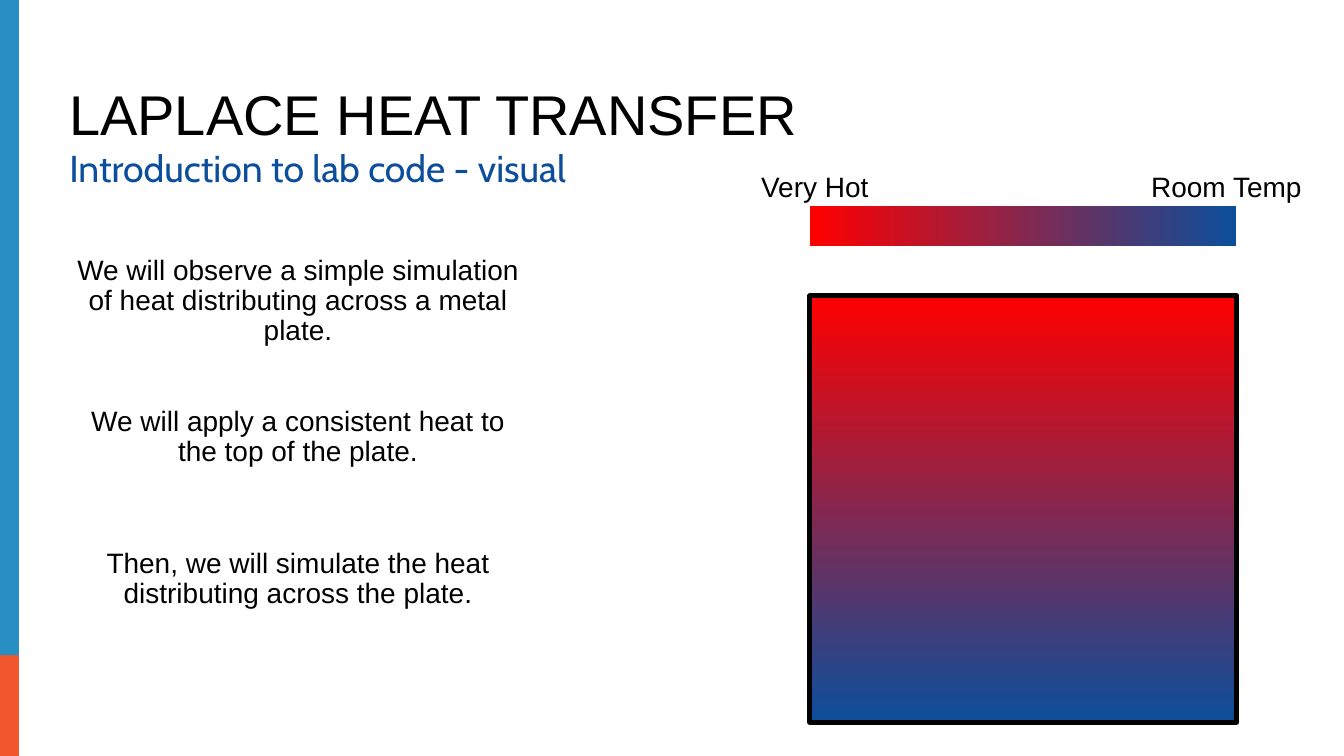
"""Build the Laplace heat transfer introduction slide."""
from dataclasses import dataclass

from pptx import Presentation
from pptx.dml.color import RGBColor
from pptx.enum.shapes import MSO_SHAPE
from pptx.enum.text import MSO_ANCHOR, MSO_AUTO_SIZE, PP_ALIGN
from pptx.util import Inches, Pt

RECT = MSO_SHAPE.RECTANGLE
TOP, MIDDLE, BOTTOM = MSO_ANCHOR.TOP, MSO_ANCHOR.MIDDLE, MSO_ANCHOR.BOTTOM
LEFT, CENTER = PP_ALIGN.LEFT, PP_ALIGN.CENTER
GROW, FIXED = MSO_AUTO_SIZE.SHAPE_TO_FIT_TEXT, MSO_AUTO_SIZE.NONE


@dataclass(frozen=True)
class Theme:
    """Colours, fonts and type sizes."""
    black: str = "000000"
    orange: str = "F1562D"
    sky: str = "298EC2"
    hot: str = "FF0000"
    cool: str = "0C4E9B"
    font: str = "Arial"
    accent_font: str = "Cabin"
    title: int = 36
    subtitle: int = 24
    body: int = 18


THEME = Theme()
PLATE_X, PLATE_Y, PLATE_SIDE = 7.23, 2.64, 3.81
STEPS = (
    (2.23, 0.92, "We will observe a simple simulation of heat distributing across a metal plate."),
    (3.58, 0.65, "We will apply a consistent heat to the top of the plate."),
    (4.85, 0.65, "Then, we will simulate the heat distributing across the plate."),
)


def rgb(color):
    """Turn a hex string into a colour."""
    return RGBColor.from_string(color)


def add_rect(s, x, y, w, h):
    """Add a plain rectangle without line or shadow."""
    sp = s.shapes.add_shape(RECT, Inches(x), Inches(y), Inches(w), Inches(h))
    sp.shadow.inherit = False
    sp.line.fill.background()
    return sp


def add_bar(s, y, h, color):
    """Add a solid bar on the left edge of the slide."""
    sp = add_rect(s, 0, y, 0.17, h)
    sp.fill.solid()
    sp.fill.fore_color.rgb = rgb(color)


def add_heat_rect(s, x, y, w, h, angle):
    """Add a rectangle that fades from hot to cool."""
    sp = add_rect(s, x, y, w, h)
    sp.fill.gradient()
    sp.fill.gradient_angle = angle
    for stop, color in zip(sp.fill.gradient_stops, (THEME.hot, THEME.cool)):
        stop.color.rgb = rgb(color)
    return sp


def add_text(s, text, x, y, w, h, *, size=THEME.body, font=THEME.font,
             color=THEME.black, align=CENTER, anchor=MIDDLE, wrap=True, fit=GROW):
    """Add a one-paragraph text box."""
    sp = s.shapes.add_textbox(Inches(x), Inches(y), Inches(w), Inches(h))
    tf = sp.text_frame
    tf.word_wrap = wrap
    tf.auto_size = fit
    tf.vertical_anchor = anchor
    p = tf.paragraphs[0]
    p.alignment = align
    p.line_spacing = 0.9
    r = p.add_run()
    r.text = text
    r.font.name = font
    r.font.size = Pt(size)
    r.font.color.rgb = rgb(color)


def main():
    """Build and save the slide."""
    prs = Presentation()
    prs.slide_width, prs.slide_height = Inches(12), Inches(6.75)
    s = prs.slides.add_slide(prs.slide_layouts[6])

    add_bar(s, 5.07, 1.68, THEME.orange)
    add_bar(s, 0, 5.85, THEME.sky)

    add_text(s, "LAPLACE HEAT TRANSFER", 0.52, 0.69, 6.86, 0.68,
             size=THEME.title, align=LEFT, anchor=BOTTOM, fit=FIXED)
    add_text(s, "Introduction to lab code - visual", 0.52, 1.29, 6.48, 0.57,
             size=THEME.subtitle, font=THEME.accent_font, color=THEME.cool,
             align=LEFT, anchor=TOP, fit=FIXED)

    plate = add_heat_rect(s, PLATE_X, PLATE_Y, PLATE_SIDE, PLATE_SIDE, 270)
    plate.line.color.rgb = rgb(THEME.black)
    plate.line.width = Pt(3)
    add_heat_rect(s, PLATE_X, 1.84, PLATE_SIDE, 0.36, 0)
    add_text(s, "Very Hot", 6.69, 1.5, 1.17, 0.37, wrap=False)
    add_text(s, "Room Temp", 10.17, 1.5, 1.56, 0.37, wrap=False)

    for y, h, text in STEPS:
        add_text(s, text, 0.52, y, 4.28, h)

    prs.save("out.pptx")


if __name__ == "__main__":
    main()
